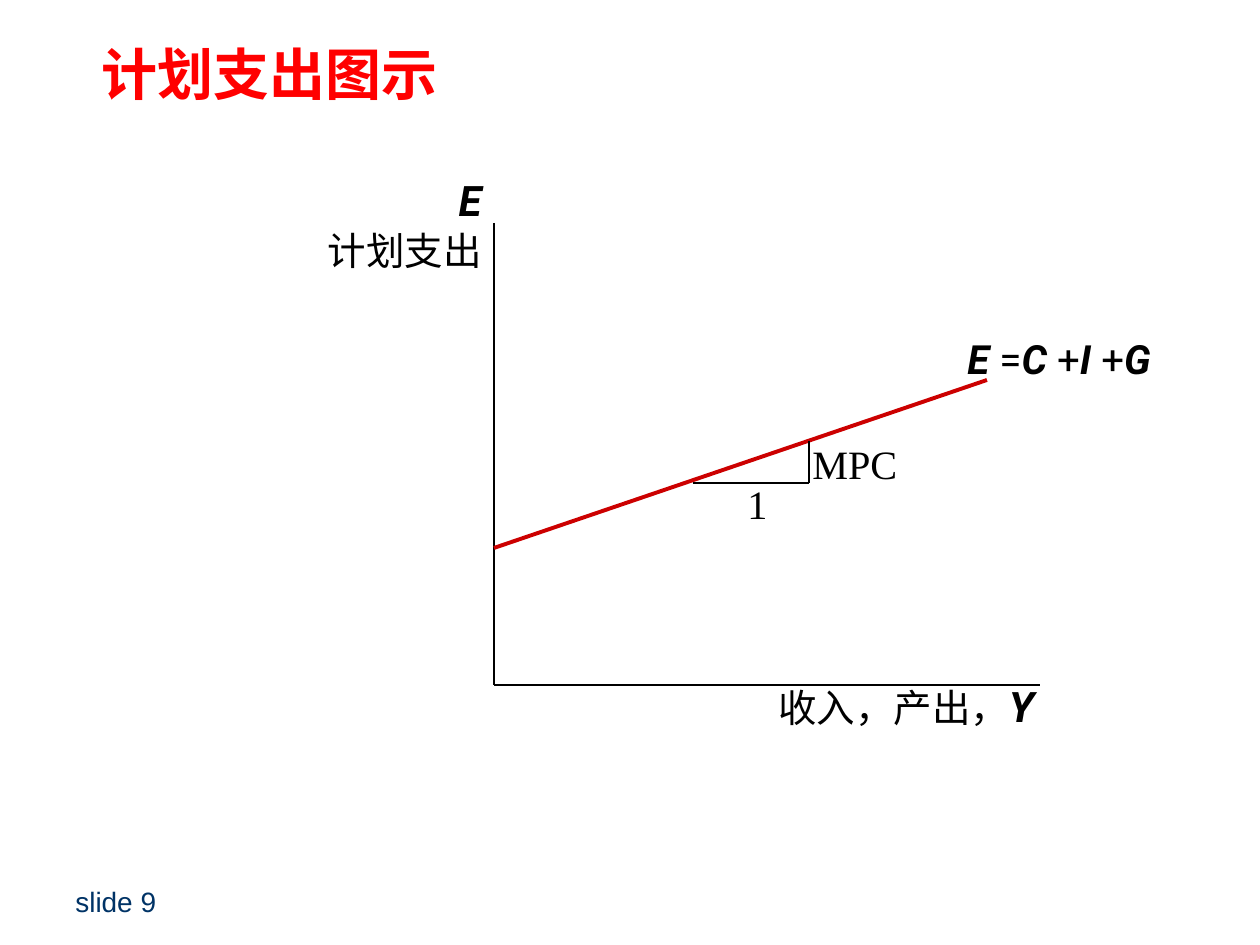
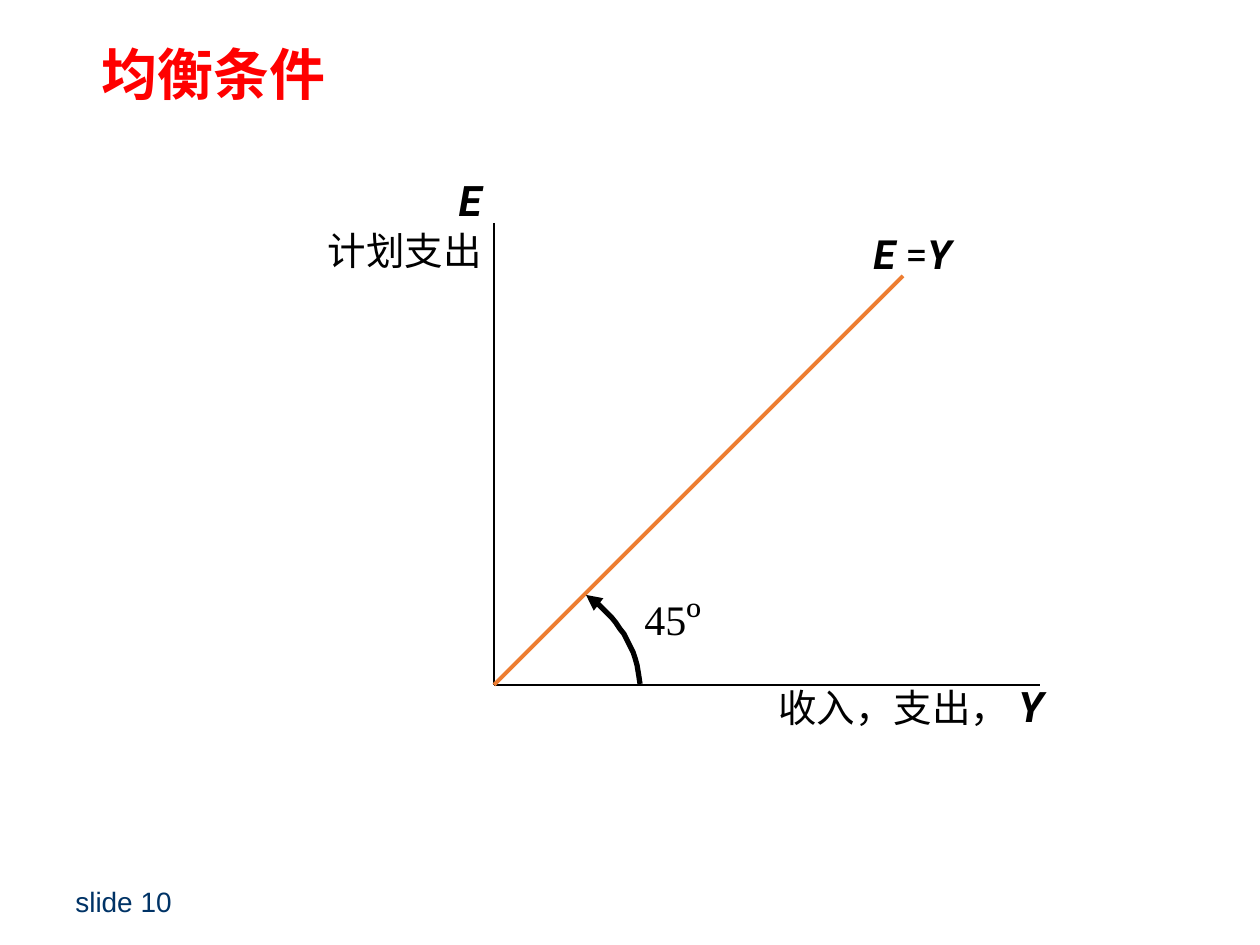
from lxml.etree import SubElement
from pptx import Presentation
from pptx.dml.color import RGBColor
from pptx.enum.shapes import MSO_CONNECTOR
from pptx.enum.text import MSO_ANCHOR, PP_ALIGN
from pptx.oxml.ns import qn
from pptx.util import Pt

SCALE = 914400 / 126  # EMU in one px
WIDE, HIGH = 1260, 945

BLACK = RGBColor(0x00, 0x00, 0x00)
RED = RGBColor(0xFF, 0x00, 0x00)
NAVY = RGBColor(0x00, 0x33, 0x66)
CRIMSON = RGBColor(0xCC, 0x00, 0x00)
ORANGE = RGBColor(0xED, 0x7D, 0x31)

SANS, SERIF, ROBOTO, HAN = "Arial", "Times New Roman", "Roboto", "Noto Sans CJK SC"

# Axis corner and ends
LEFT, BASE = 494, 685
TOP, RIGHT = 223, 1040


def px(num):
    return round(num * SCALE)


def add_run(para, text, size, face=SERIF, color=BLACK, bold=False, slant=False):
    run = para.add_run()
    run.text = text
    font = run.font
    font.size, font.bold, font.italic = Pt(size), bold, slant
    font.color.rgb = color
    font.name = face
    SubElement(run.font._element, qn("a:ea")).set("typeface", HAN)


def add_sign(para, text, size):
    """Variable name in bold italics."""
    add_run(para, text, size, ROBOTO, bold=True, slant=True)


def add_box(slide, x, y, w, h, anchor=MSO_ANCHOR.TOP):
    box = slide.shapes.add_textbox(px(x), px(y), px(w), px(h))
    frame = box.text_frame
    frame.word_wrap = True
    frame.vertical_anchor = anchor
    return frame


def add_label(slide, x, y, w, *runs):
    """One-line label; each run is a text and its size."""
    para = add_box(slide, x, y, w, 62).paragraphs[0]
    for text, size in runs:
        add_run(para, text, size)


def add_rule(slide, start, end, color=BLACK, width=1):
    ends = [px(num) for num in (*start, *end)]
    line = slide.shapes.add_connector(MSO_CONNECTOR.STRAIGHT, *ends)
    line.line.color.rgb = color
    line.line.width = Pt(width)
    SubElement(line.element.spPr, qn("a:effectLst"))


def add_curve(slide, a, b, c, d, steps=16):
    """Bezier curve with an arrowhead at its first point."""
    points = []
    for i in range(steps + 1):
        t = i / steps
        u = 1 - t
        points.append([u**3 * p + 3 * u * u * t * q + 3 * u * t * t * r + t**3 * s
                       for p, q, r, s in zip(a, b, c, d)])
    build = slide.shapes.build_freeform(*points[0], scale=SCALE)
    build.add_line_segments(points[1:], close=False)
    arc = build.convert_to_shape()
    arc.shadow.inherit = False
    arc.fill.background()
    arc.line.color.rgb = BLACK
    arc.line.width = Pt(3)
    SubElement(arc.element.spPr.find(qn("a:ln")), qn("a:headEnd")).set("type", "triangle")


def add_formula(slide, x, y, w, text):
    """Formula whose letters are bold italic and whose signs are plain."""
    para = add_box(slide, x, y, w, 62).paragraphs[0]
    for part in text.split("|"):
        if part.strip() in "=+":
            add_run(para, part, 23, ROBOTO)
        else:
            add_sign(para, part, 23)


def add_page(deck, number, title, income):
    slide = deck.slides.add_slide(deck.slide_layouts[6])

    # Title and footer
    para = add_box(slide, 89, -14, 1086, 183, MSO_ANCHOR.MIDDLE).paragraphs[0]
    para.line_spacing = 0.9
    add_run(para, title, 32, HAN, RED, bold=True)
    para = add_box(slide, 63, 876, 294, 50, MSO_ANCHOR.MIDDLE).paragraphs[0]
    add_run(para, f"slide {number}", 16, SANS, NAVY)

    # Axes
    add_rule(slide, (LEFT, TOP), (LEFT, BASE))
    add_rule(slide, (LEFT, BASE), (RIGHT, BASE))

    # Axis names
    para = add_box(slide, 766, 674, 357, 63).paragraphs[0]
    name, gap = income
    add_run(para, name, 22)
    if gap:
        add_run(para, gap, 24)
    add_sign(para, "Y", 24)
    frame = add_box(slide, 242, 168, 252, 112)
    para = frame.paragraphs[0]
    para.alignment = PP_ALIGN.RIGHT
    add_sign(para, "E", 24)
    para = frame.add_paragraph()
    para.alignment = PP_ALIGN.RIGHT
    para.space_before = Pt(1.4)
    add_run(para, "计划支出", 22)
    return slide


def main():
    deck = Presentation()
    deck.slide_width, deck.slide_height = px(WIDE), px(HIGH)

    # Planned spending line and its slope
    slide = add_page(deck, 9, "计划支出图示", ("收入，产出，", ""))
    add_formula(slide, 955, 328, 284, "E| =|C |+|I |+|G")
    add_rule(slide, (LEFT, 548), (987, 380), CRIMSON, 2.25)
    add_rule(slide, (693, 483), (809, 483), width=0.75)
    add_rule(slide, (809, 483), (809, 441), width=0.75)
    add_label(slide, 800, 433, 126, ("MPC", 23))
    add_label(slide, 735, 473, 53, ("1", 23))

    # Balance line and its angle
    slide = add_page(deck, 10, "均衡条件", ("收入，支出，", " "))
    add_rule(slide, (LEFT, BASE), (903, 276), ORANGE, 2.25)
    add_formula(slide, 861, 223, 136, "E| =|Y")
    add_curve(slide, (586, 595), (617, 616), (638, 649), (640, 684))
    add_label(slide, 632, 582, 95, ("45", 24), ("º", 27))

    deck.save("out.pptx")


if __name__ == "__main__":
    main()
